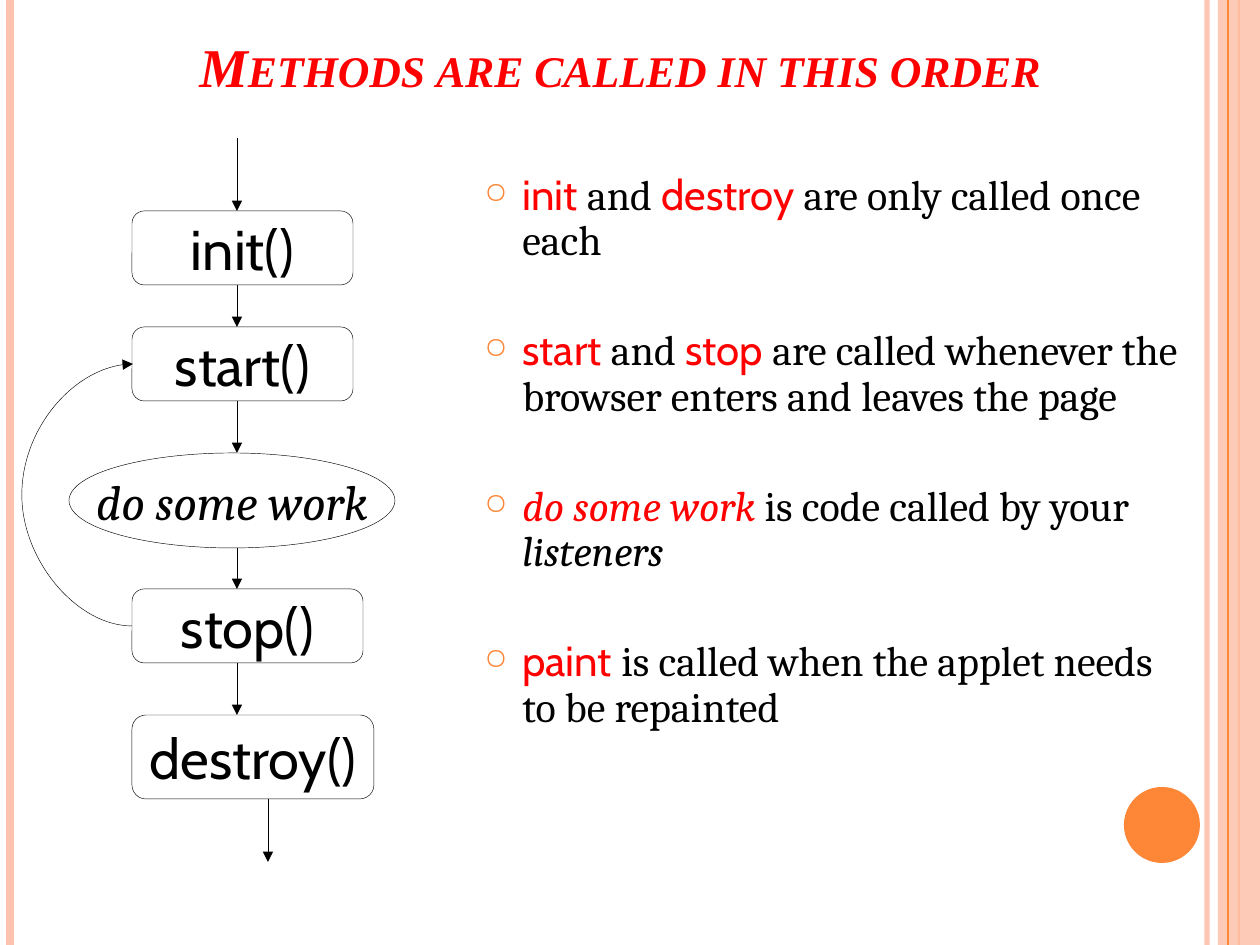
"""Build a slide showing the order in which applet methods are called."""
import lxml.etree
import pptx
import pptx.dml.color
import pptx.enum.shapes
import pptx.enum.text
import pptx.oxml
import pptx.oxml.ns
import pptx.util

COLORS = {"orange": "FE8637", "peach": "FEC3AE", "red": "FF0000", "black": "000000"}
EMU_PER_PX = 914400 / 126
SHAPES = pptx.enum.shapes.MSO_SHAPE
CONNECTORS = pptx.enum.shapes.MSO_CONNECTOR
ALIGN = pptx.enum.text.PP_ALIGN
ANCHOR = pptx.enum.text.MSO_ANCHOR
CODE = {"name": "Cabin", "color": "red"}
PROSE = {"name": "Cambria", "color": "black"}


def px(length):
    return pptx.util.Emu(round(length * EMU_PER_PX))


def rgb(name):
    return pptx.dml.color.RGBColor.from_string(COLORS[name])


def add_child(parent, tag, **attributes):
    child = lxml.etree.SubElement(parent, pptx.oxml.ns.qn(tag))
    for key, value in attributes.items():
        child.set(key, value)
    return child


def set_alpha(element, percent):
    color = next(element.iter(pptx.oxml.ns.qn("a:srgbClr")))
    add_child(color, "a:alpha", val=str(percent * 1000))


class SlideBuilder:
    def __init__(self, slide):
        self.slide = slide
        self.shapes = slide.shapes

    def add_span(self, para, text, color="black", **font):
        span = para.add_run()
        span.text = text
        span.font.color.rgb = rgb(color)
        for key, value in font.items():
            setattr(span.font, key, value)
        return span

    def title(self, text, *bounds):
        title = self.shapes.title
        for key, value in zip(("left", "top", "width", "height"), bounds):
            setattr(title, key, px(value))
        frame = title.text_frame
        settings = {"vertical_anchor": ANCHOR.TOP, "margin_top": px(12),
                    "auto_size": pptx.enum.text.MSO_AUTO_SIZE.NONE, "word_wrap": True}
        for key, value in settings.items():
            setattr(frame, key, value)
        para = frame.paragraphs[0]
        para.alignment = ALIGN.CENTER
        span = self.add_span(para, text, "red", name="Times New Roman",
                             size=pptx.util.Pt(31.2), bold=True, italic=True)
        span.font._element.set("cap", "small")

    def bullets(self, items, *bounds):
        frame = self.shapes.add_textbox(*map(px, bounds)).text_frame
        frame.word_wrap = True
        for index, spans in enumerate(items):
            para = frame.add_paragraph() if index else frame.paragraphs[0]
            para.line_spacing = 0.9
            para.space_before = pptx.util.Pt(37 if index else 6)
            properties = para._p.get_or_add_pPr()
            properties.set("marL", str(px(38)))
            properties.set("indent", str(-px(38)))
            bullet_color = add_child(properties, "a:buClr")
            add_child(bullet_color, "a:srgbClr", val=COLORS["orange"])
            add_child(properties, "a:buSzPct", val="70000")
            add_child(properties, "a:buChar", char="○")
            for text, font in spans:
                self.add_span(para, text, size=pptx.util.Pt(24), **font)

    def solid(self, kind, color, bounds, alpha=100):
        shape = self.shapes.add_shape(kind, *map(px, bounds))
        shape.shadow.inherit = False
        shape.fill.solid()
        shape.fill.fore_color.rgb = rgb(color)
        shape.line.fill.background()
        if alpha < 100:
            set_alpha(shape._element.spPr, alpha)

    def step(self, kind, text, bounds, **font):
        shape = self.shapes.add_shape(kind, *map(px, bounds))
        shape.shadow.inherit = False
        shape.fill.background()
        shape.line.color.rgb = rgb("black")
        shape.line.width = pptx.util.Pt(0.25)
        frame = shape.text_frame
        frame.word_wrap = False
        frame.vertical_anchor = ANCHOR.MIDDLE
        para = frame.paragraphs[0]
        para.alignment = ALIGN.CENTER
        self.add_span(para, text, **font)

    def line(self, start, end, color="black", width=0.25, alpha=100,
             kind=CONNECTORS.STRAIGHT):
        line = self.shapes.add_connector(kind, *map(px, start + end))
        line.line.color.rgb = rgb(color)
        line.line.width = pptx.util.Pt(width)
        add_child(line._element.spPr, "a:effectLst")
        if alpha < 100:
            set_alpha(line._element.spPr, alpha)
        return line

    def arrow(self, start, end, **style):
        arrow = self.line(start, end, **style)
        add_child(arrow.line._get_or_add_ln(), "a:tailEnd", type="triangle")
        return arrow

    def loop(self, start, end, bend):
        loop = self.arrow(start, end, kind=CONNECTORS.CURVE)
        guides = next(loop._element.spPr.iter(pptx.oxml.ns.qn("a:avLst")))
        ratio = round(bend / (end[0] - start[0]) * 100000)
        add_child(guides, "a:gd", name="adj1", fmla=f"val {ratio}")


def main():
    deck = pptx.Presentation()
    deck.slide_width, deck.slide_height = px(1260), px(945)
    builder = SlideBuilder(deck.slides.add_slide(deck.slide_layouts[5]))

    for x, color, width, alpha in [(1207, "peach", 3, 93), (10, "peach", 4.5, 100),
                                   (1239, "orange", 1.5, 100)]:
        builder.line((x, 0), (x, 945), color, width, alpha)
    builder.solid(SHAPES.RECTANGLE, "peach", (1218, 0, 42, 945), 87)
    builder.line((1228, 0), (1228, 945), "orange", 0.75)
    builder.solid(SHAPES.OVAL, "orange", (1124, 787, 76, 76))

    builder.title("Methods are called in this order", 53, 21, 1134, 126)
    builder.bullets([
        [("init", CODE), (" and ", PROSE), ("destroy", CODE),
         (" are only called once each", PROSE)],
        [("start", CODE), (" and ", PROSE), ("stop", CODE),
         (" are called whenever the browser enters and leaves the page", PROSE)],
        [("do some work ", {**PROSE, "color": "red", "italic": True}),
         ("is code called by your ", PROSE), ("listeners", {**PROSE, "italic": True})],
        [("paint", CODE), (" is called when the applet needs to be repainted", PROSE)],
    ], 472, 168, 728, 651)

    for text, top, width, height in [("init()", 211, 221, 74), ("start()", 327, 221, 74),
                                     ("stop()", 589, 231, 74), ("destroy()", 715, 242, 84)]:
        builder.step(SHAPES.ROUNDED_RECTANGLE, text, (132, top, width, height),
                     name="Cabin", size=pptx.util.Pt(32))
    builder.step(SHAPES.OVAL, "do some work", (69, 453, 326, 95),
                 name="Cambria", size=pptx.util.Pt(28), italic=True)

    for x, top, bottom in [(237, 138, 211), (237, 285, 327), (237, 401, 453),
                           (237, 548, 589), (237, 663, 715), (268, 799, 862)]:
        builder.arrow((x, top), (x, bottom))
    builder.loop((132, 626), (133, 364), -111)

    deck.save("out.pptx")


if __name__ == "__main__":
    main()
